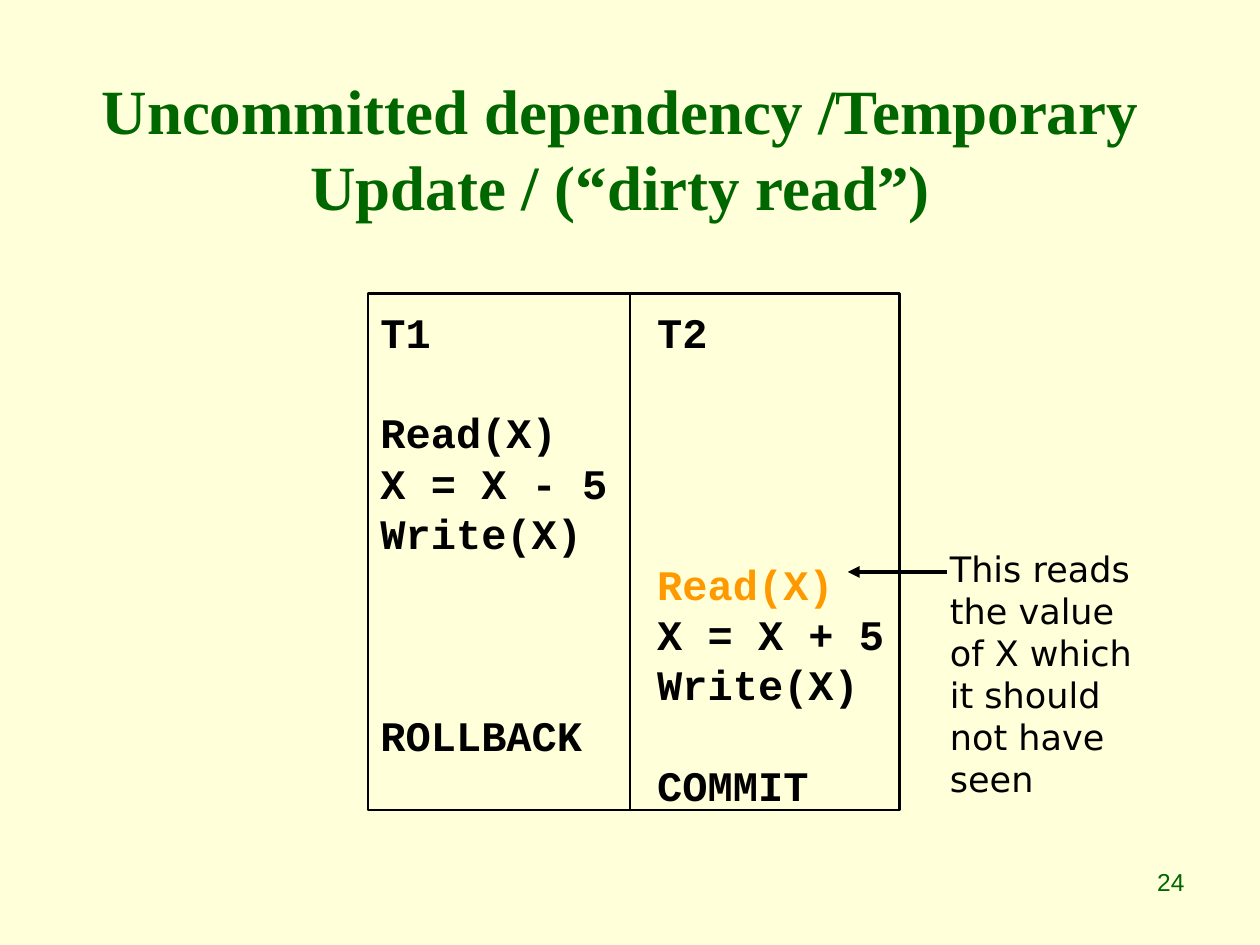
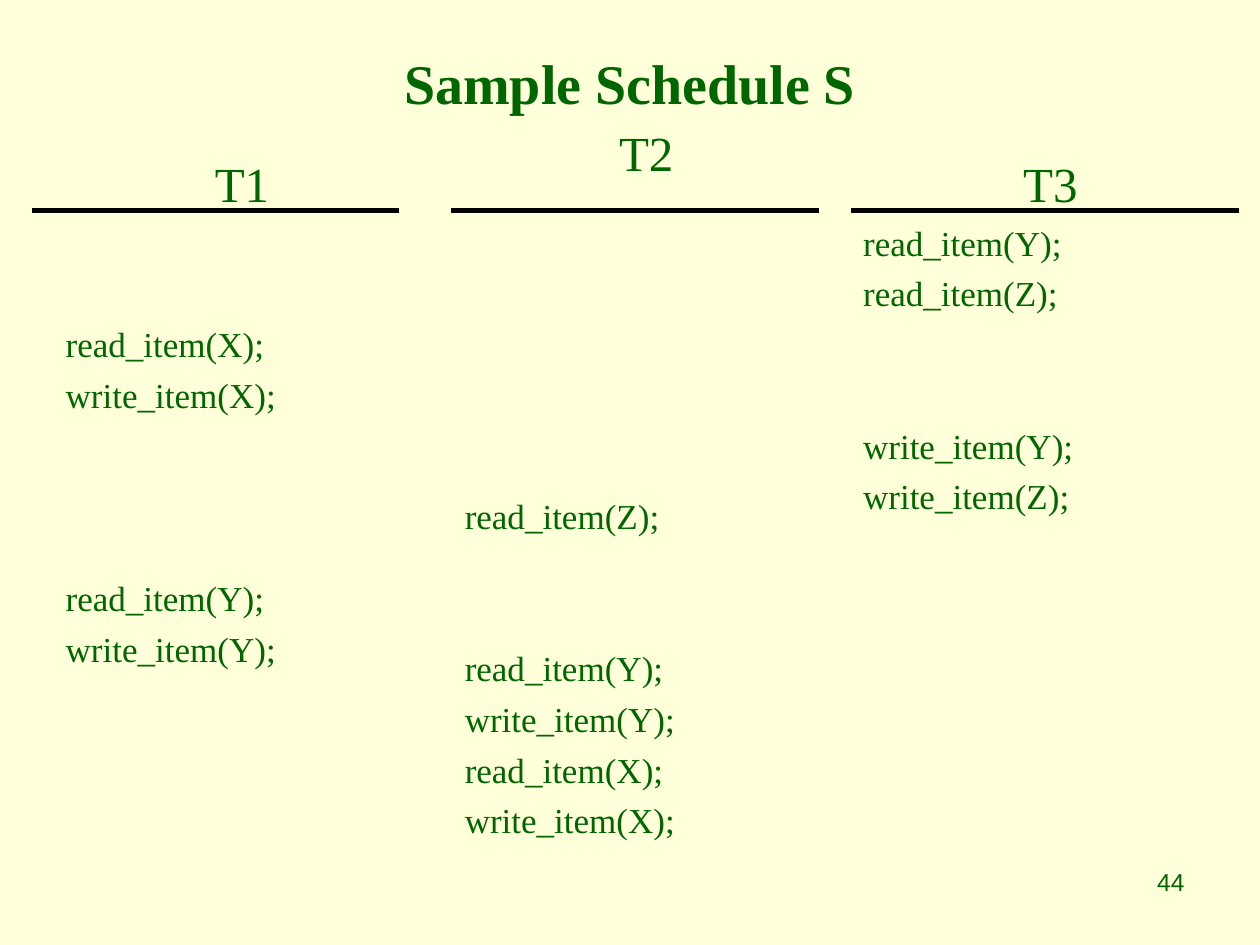
from pptx import Presentation
from pptx.dml.color import RGBColor
from pptx.enum.shapes import MSO_CONNECTOR, MSO_SHAPE
from pptx.enum.text import MSO_ANCHOR, MSO_AUTO_SIZE, PP_ALIGN
from pptx.oxml.ns import qn
from pptx.util import Cm, Pt
from lxml import etree

LEFT, CENTER, RIGHT = PP_ALIGN.LEFT, PP_ALIGN.CENTER, PP_ALIGN.RIGHT
TOP, MIDDLE = MSO_ANCHOR.TOP, MSO_ANCHOR.MIDDLE
STRAIGHT = MSO_CONNECTOR.STRAIGHT
RECTANGLE = MSO_SHAPE.RECTANGLE
NO_AUTOFIT = MSO_AUTO_SIZE.NONE

COLORS = {"paper": "FFFFD9", "green": "006600", "ink": "000000", "alert": "FF9900"}
SERIF, MONO, SANS, NUMBER = "Times New Roman", "Courier New", "DejaVu Sans", "Arial"
LEADING = 1.2
TITLE_ONLY, TITLE_AND_BODY = 5, 1


def rgb(name):
    return RGBColor.from_string(COLORS[name])


def place(sp, box):
    sp.left, sp.top, sp.width, sp.height = (Cm(v) for v in box)


def prepare_frame(sp, anchor=TOP):
    tf = sp.text_frame
    tf.word_wrap = True
    tf.auto_size = NO_AUTOFIT
    tf.vertical_anchor = anchor
    return tf


def add_box(s, box):
    return prepare_frame(s.shapes.add_textbox(*(Cm(v) for v in box)))


def next_paragraph(tf, size, align=LEFT, before=0):
    """Return the empty first paragraph, or a new one after the others."""
    p = tf.paragraphs[0]
    if p.runs:
        p = tf.add_paragraph()
    p.alignment = align
    p.line_spacing = Pt(size * LEADING)
    p.space_before = Pt(before)
    return p


def add_run(p, text, size, font, color="green", bold=False):
    r = p.add_run()
    r.text = text
    r.font.size = Pt(size)
    r.font.name = font
    r.font.bold = bold
    r.font.color.rgb = rgb(color)


def add_line(s, x1, y1, x2, y2, width, arrow=False):
    line = s.shapes.add_connector(STRAIGHT, Cm(x1), Cm(y1), Cm(x2), Cm(y2))
    line.line.color.rgb = rgb("ink")
    line.line.width = Pt(width)
    if arrow:
        etree.SubElement(line.line._get_or_add_ln(), qn("a:tailEnd"), type="triangle")
    etree.SubElement(line._element.spPr, qn("a:effectLst"))


def add_slide(prs, layout, title, title_box, title_size, number):
    s = prs.slides.add_slide(prs.slide_layouts[layout])
    place(s.shapes.title, title_box)
    p = next_paragraph(prepare_frame(s.shapes.title, MIDDLE), title_size, CENTER)
    add_run(p, title, title_size, SERIF, bold=True)
    p = next_paragraph(add_box(s, (18.21, 17.35, 5.92, 1.32)), 14, RIGHT)
    add_run(p, number, 14, NUMBER)
    return s


def add_tab_stop(p, position):
    tabs = etree.SubElement(p._p.get_or_add_pPr(), qn("a:tabLst"))
    etree.SubElement(tabs, qn("a:tab"), pos=str(Cm(position)), algn="l")


def add_transactions(s, box, steps):
    """Draw two transactions side by side; a step is (skipped rows, T1, T2, T2 colour)."""
    x, y, w, h = box
    size, divider_x = 24, x + 5.28
    sp = s.shapes.add_shape(RECTANGLE, *(Cm(v) for v in box))
    sp.shadow.inherit = False
    sp.fill.background()
    sp.line.color.rgb = rgb("ink")
    sp.line.width = Pt(1.5)
    tf = prepare_frame(sp)
    tf.margin_top, tf.margin_right = Cm(0.25), 0
    for skipped, first, second, color in steps:
        p = next_paragraph(tf, size, before=skipped * size * LEADING)
        add_tab_stop(p, 5.58)
        if first:
            add_run(p, first, size, MONO, "ink", True)
        if second:
            add_run(p, "\t" + second, size, MONO, color, True)
    add_line(s, divider_x, y, divider_x, y + h, 1.5)


def add_note(s, box, text):
    """Write a remark with an arrow pointing left from its first line."""
    x, y = box[:2]
    p = next_paragraph(add_box(s, box), 20)
    add_run(p, text, 20, SANS, "ink")
    add_line(s, x + 0.2, y + 0.61, x - 1.81, y + 0.61, 2.25, arrow=True)


def fill_schedule(tf, name, steps):
    """Write a centred heading, then steps given as (skipped rows, operation)."""
    size, gap = 20, 5
    row = size * LEADING + gap
    heading = next_paragraph(tf, 28, CENTER)
    add_run(heading, name, 28, SERIF)
    for skipped, operation in steps:
        p = next_paragraph(tf, size, before=gap + skipped * row)
        add_run(p, operation, size, SERIF)
    for p in tf.paragraphs:
        pPr = p._p.get_or_add_pPr()
        pPr.set("marL", "0")
        pPr.set("indent", "0")
        etree.SubElement(pPr, qn("a:buNone"))


def build_dirty_read(prs):
    s = add_slide(prs, TITLE_ONLY,
                  "Uncommitted dependency /Temporary Update / (“dirty read”)",
                  (1.07, 1.7, 22.86, 2.54), 36, "24")
    add_transactions(s, (7.42, 5.92, 10.72, 10.41), [
        (0, "T1", "T2", "ink"),
        (1, "Read(X)", "", "ink"),
        (0, "X = X - 5", "", "ink"),
        (0, "Write(X)", "", "ink"),
        (0, "", "Read(X)", "alert"),
        (0, "", "X = X + 5", "ink"),
        (0, "", "Write(X)", "ink"),
        (0, "ROLLBACK", "", "ink"),
        (0, "", "COMMIT", "ink"),
    ])
    add_note(s, (18.9, 10.92, 4.39, 5.33),
             "This reads the value of X which it should not have seen")


def build_sample_schedule(prs):
    s = add_slide(prs, TITLE_AND_BODY, "Sample Schedule S",
                  (1.27, 0.76, 22.86, 1.78), 32, "44")
    body = s.placeholders[1]
    place(body, (1.07, 2.97, 7.62, 12.5))
    fill_schedule(prepare_frame(body), "T1", [
        (2, "read_item(X);"), (0, "write_item(X);"),
        (3, "read_item(Y);"), (0, "write_item(Y);"),
    ])
    fill_schedule(add_box(s, (9.12, 2.34, 7.82, 15.04)), "T2", [
        (6, "read_item(Z);"),
        (2, "read_item(Y);"), (0, "write_item(Y);"),
        (0, "read_item(X);"), (0, "write_item(X);"),
    ])
    fill_schedule(add_box(s, (17.15, 2.97, 8.05, 12.5)), "T3", [
        (0, "read_item(Y);"), (0, "read_item(Z);"),
        (2, "write_item(Y);"), (0, "write_item(Z);"),
    ])
    for start, end in ((0.64, 8.05), (9.09, 16.51), (17.15, 24.97)):
        add_line(s, start, 4.24, end, 4.24, 3)


def main():
    prs = Presentation()
    prs.slide_width, prs.slide_height = Cm(25.4), Cm(19.05)
    background = prs.slide_master.background.fill
    background.solid()
    background.fore_color.rgb = rgb("paper")
    build_dirty_read(prs)
    build_sample_schedule(prs)
    prs.save("out.pptx")


if __name__ == "__main__":
    main()
